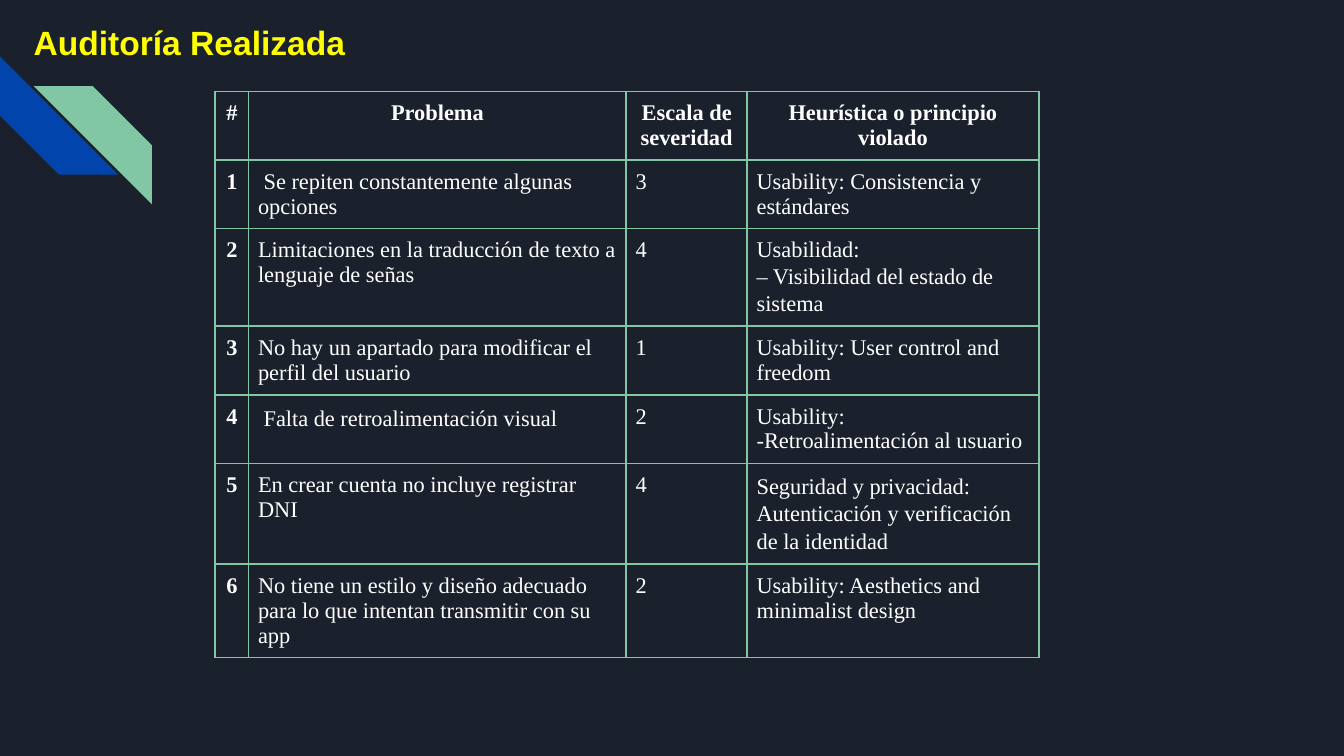
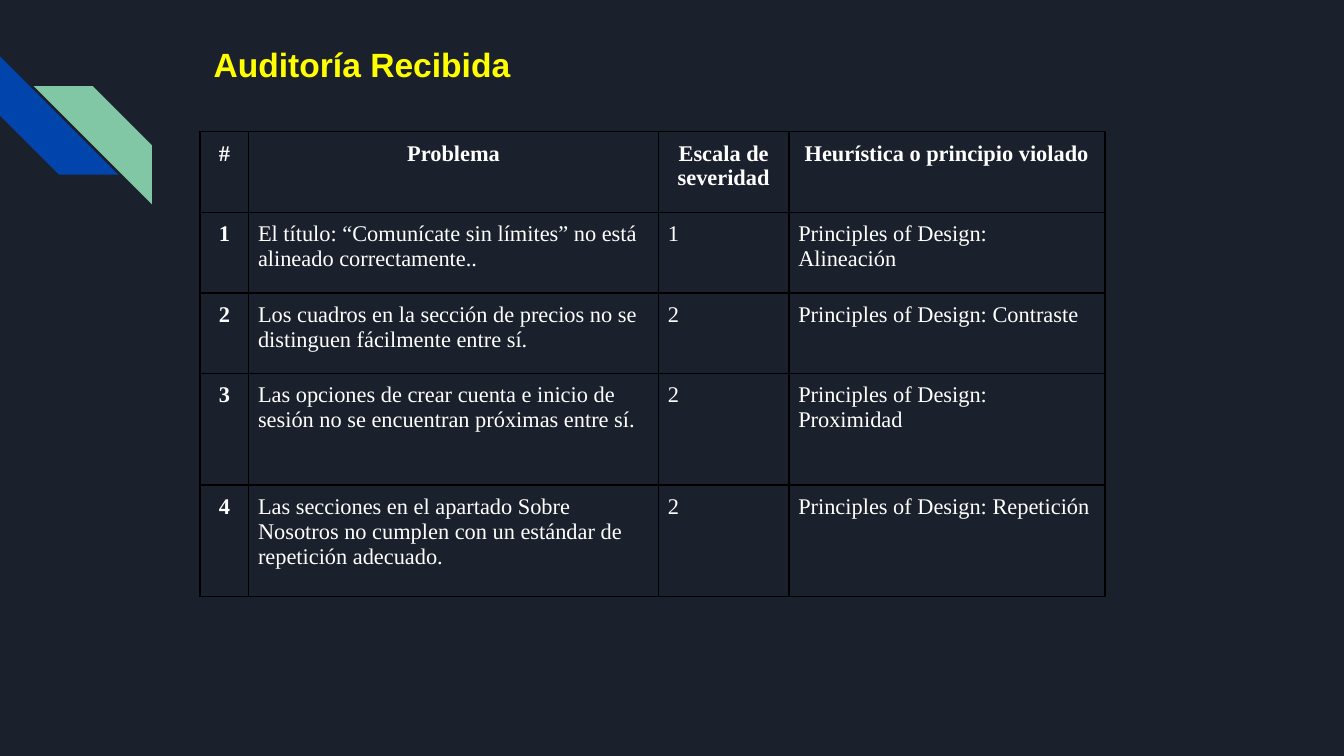
from lxml import etree
from pptx import Presentation
from pptx.dml.color import RGBColor
from pptx.enum import shapes, text
from pptx.oxml.ns import qn
from pptx.util import Inches, Pt

COLORS = {
    "background": "1B212C",
    "blue": "0145AC",
    "green": "82C7A5",
    "title": "FFFF00",
    "text": "FFFFFF",
    "black": "000000",
}
TITLE_FONT, TABLE_FONT = "Arial", "Times New Roman"
TITLE_POINTS, TABLE_POINTS = 18, 12
TITLE_BOX = (3.7, 0.51)
TITLE_MARGIN, CELL_MARGIN = 0.1, 0.07
STRIPE_SIDE = 0.88

HEADER = ("#", "Problema", "Escala de severidad", "Heurística o principio violado")

# Each finding: problem, severity, violated principle; a line break starts a paragraph.
AUDITS = [
    {
        "title": "Auditoría Realizada",
        "title_at": (0.15, 0.06),
        "table_at": (1.6, 0.68),
        "border": "green",
        "columns": (0.25, 2.81, 0.9, 2.17),
        "rows": (0.51, 0.51, 0.72, 0.51, 0.51, 0.75, 0.69),
        "findings": [
            (" Se repiten constantemente algunas opciones", 3,
             "Usability: Consistencia y estándares"),
            ("Limitaciones en la traducción de texto a lenguaje de señas", 4,
             "Usabilidad:\n– Visibilidad del estado de\nsistema"),
            ("No hay un apartado para modificar el perfil del usuario", 1,
             "Usability: User control and freedom"),
            (" Falta de retroalimentación visual", 2,
             "Usability:\n-Retroalimentación al usuario"),
            ("En crear cuenta no incluye registrar DNI", 4,
             "Seguridad y privacidad: Autenticación y verificación de la identidad"),
            ("No tiene un estilo y diseño adecuado para lo que intentan transmitir con su app", 2,
             "Usability: Aesthetics and minimalist design"),
        ],
    },
    {
        "title": "Auditoría Recibida",
        "title_at": (1.49, 0.23),
        "table_at": (1.49, 0.98),
        "border": "black",
        "columns": (0.36, 3.05, 0.97, 2.35),
        "rows": (0.6, 0.6, 0.6, 0.83, 0.83),
        "findings": [
            ("El título: “Comunícate sin límites” no está alineado correctamente..", 1,
             "Principles of Design:\nAlineación"),
            ("Los cuadros en la sección de precios no se distinguen fácilmente entre sí.", 2,
             "Principles of Design: Contraste"),
            ("Las opciones de crear cuenta e inicio de sesión no se encuentran próximas entre sí.", 2,
             "Principles of Design: Proximidad"),
            ("Las secciones en el apartado Sobre Nosotros no cumplen con un estándar de "
             "repetición adecuado.", 2,
             "Principles of Design: Repetición"),
        ],
    },
]

LOOSE_SPACING = 1.09
LOOSE_STARTS = ("– Visibilidad", "sistema", " Falta", "Seguridad")


def rgb(name):
    return RGBColor.from_string(COLORS[name])


def set_font(paragraph, name, size, color, bold):
    font = paragraph.font
    font.name, font.size, font.bold = name, Pt(size), bold
    font.color.rgb = rgb(color)


def set_margins(box, inches):
    box.margin_left = box.margin_right = Inches(inches)
    box.margin_top = box.margin_bottom = Inches(inches)


def decorate_layout(layout, slide):
    """Give the layout its background and stripes, which are drawn on slide and moved."""
    layout.background.fill.solid()
    layout.background.fill.fore_color.rgb = rgb("background")
    for left, top, color, turn in ((0, 0.42, "blue", 270), (0.25, 0.64, "green", 0)):
        stripe = slide.shapes.add_shape(
            shapes.MSO_SHAPE.DIAGONAL_STRIPE,
            Inches(left), Inches(top), Inches(STRIPE_SIDE), Inches(STRIPE_SIDE))
        stripe.shadow.inherit = False
        stripe.fill.solid()
        stripe.fill.fore_color.rgb = rgb(color)
        stripe.line.fill.background()
        stripe.rotation = turn
        if not turn:
            stripe.element.spPr.find(qn("a:xfrm")).set("flipH", "1")
        layout.shapes.element.append(stripe.element)


def add_title(slide, audit):
    title = slide.shapes.title
    title.left, title.top = map(Inches, audit["title_at"])
    title.width, title.height = map(Inches, TITLE_BOX)
    frame = title.text_frame
    frame.text = audit["title"]
    frame.auto_size = text.MSO_AUTO_SIZE.NONE
    frame.vertical_anchor = text.MSO_ANCHOR.TOP
    set_margins(frame, TITLE_MARGIN)
    frame.paragraphs[0].alignment = text.PP_ALIGN.LEFT
    set_font(frame.paragraphs[0], TITLE_FONT, TITLE_POINTS, "title", True)


def set_borders(cell, color):
    properties = cell._tc.get_or_add_tcPr()
    for side in ("lnL", "lnR", "lnT", "lnB"):
        line = etree.SubElement(properties, qn(f"a:{side}"), w=str(Pt(1)))
        fill = etree.SubElement(line, qn("a:solidFill"))
        etree.SubElement(fill, qn("a:srgbClr"), val=COLORS[color])


def fill_cell(cell, content, heading, border):
    cell.text = content
    set_margins(cell, CELL_MARGIN)
    set_borders(cell, border)
    cell.fill.background()
    for paragraph in cell.text_frame.paragraphs:
        paragraph.alignment = text.PP_ALIGN.CENTER if heading else text.PP_ALIGN.LEFT
        if paragraph.text.startswith(LOOSE_STARTS):
            paragraph.line_spacing = LOOSE_SPACING
        set_font(paragraph, TABLE_FONT, TABLE_POINTS, "text", heading)


def add_findings(slide, audit):
    rows = [HEADER]
    for number, (problem, severity, principle) in enumerate(audit["findings"], 1):
        rows.append((str(number), problem, str(severity), principle))
    left, top = audit["table_at"]
    findings = slide.shapes.add_table(
        len(rows), len(HEADER), Inches(left), Inches(top),
        Inches(sum(audit["columns"])), Inches(sum(audit["rows"]))).table
    findings.first_row = findings.horz_banding = False
    for column, width in zip(findings.columns, audit["columns"]):
        column.width = Inches(width)
    for r, (contents, height) in enumerate(zip(rows, audit["rows"])):
        findings.rows[r].height = Inches(height)
        for c, content in enumerate(contents):
            fill_cell(findings.cell(r, c), content, r == 0 or c == 0, audit["border"])


def main():
    deck = Presentation()
    deck.slide_width = Inches(10)
    deck.slide_height = deck.slide_width * 9 // 16
    layout = deck.slide_layouts[5]  # title only
    slides = [deck.slides.add_slide(layout) for _ in AUDITS]
    decorate_layout(layout, slides[0])
    for slide, audit in zip(slides, AUDITS):
        add_title(slide, audit)
        add_findings(slide, audit)
    deck.save("out.pptx")


if __name__ == "__main__":
    main()
